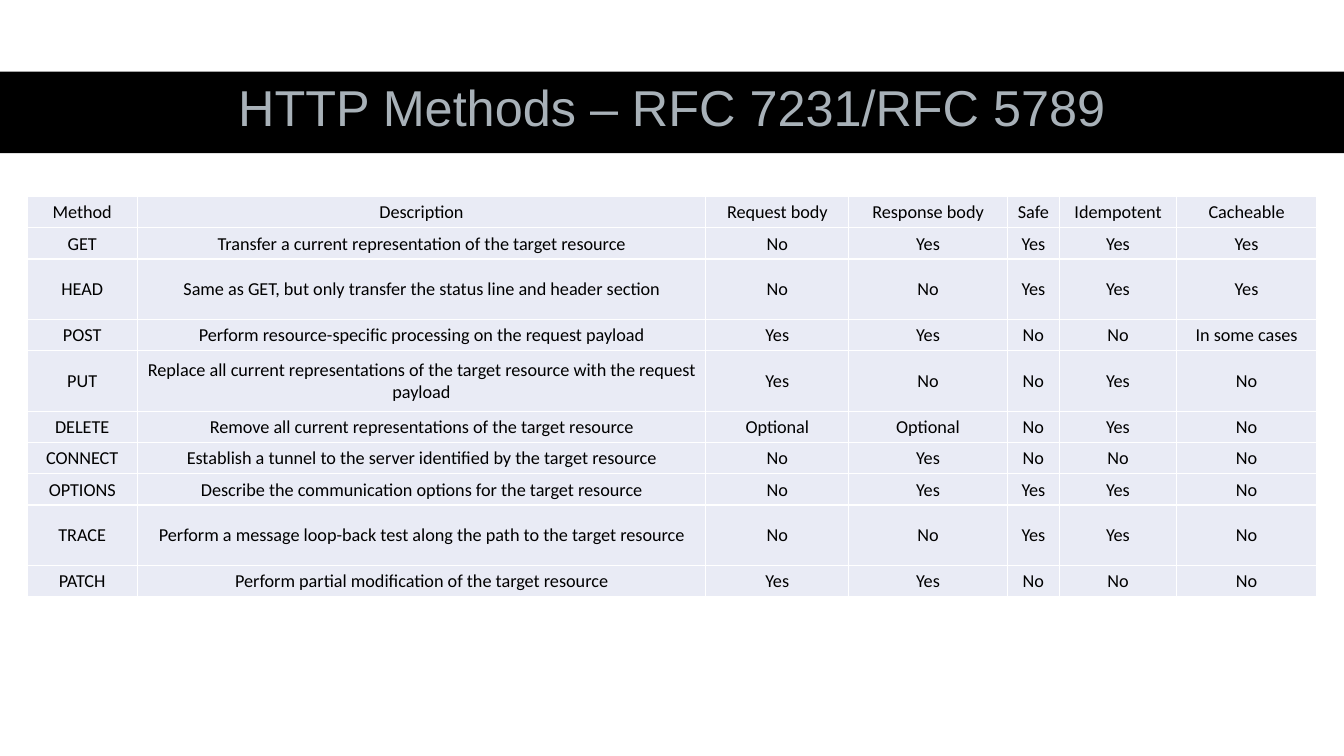
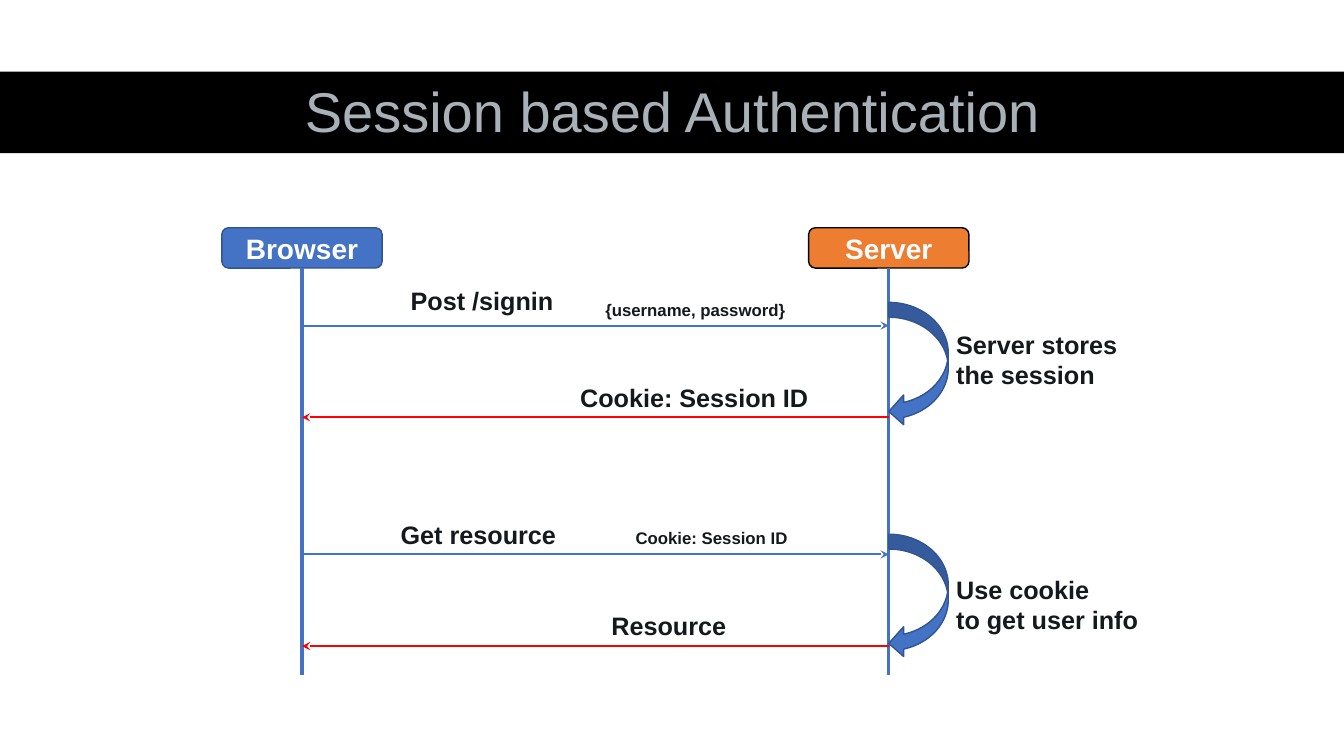
from lxml.etree import SubElement
from pptx import Presentation
from pptx.dml.color import RGBColor
from pptx.enum.shapes import MSO_CONNECTOR, MSO_SHAPE
from pptx.enum.text import MSO_ANCHOR, MSO_AUTO_SIZE, PP_ALIGN
from pptx.oxml.ns import qn
from pptx.util import Inches, Pt

BLACK = RGBColor(0x00, 0x00, 0x00)
WHITE = RGBColor(0xFF, 0xFF, 0xFF)
TITLE_GRAY = RGBColor(0xA8, 0xB1, 0xB8)
INK = RGBColor(0x15, 0x19, 0x1C)
CELL_FILL = RGBColor(0xE9, 0xEB, 0xF5)
BLUE = RGBColor(0x44, 0x72, 0xC4)
DARK_BLUE = RGBColor(0x32, 0x54, 0x91)
ORANGE = RGBColor(0xED, 0x7D, 0x31)
RED = RGBColor(0xFF, 0x00, 0x00)

SLIDE_WIDTH = 13.33
SLIDE_HEIGHT = 7.5
TITLE_ONLY = 5
BAND_BOX = (0, 0.71, SLIDE_WIDTH, 0.81)
TABLE_BOX = (0.27, 1.95, 12.79, 3.97)
DIAGRAM_BOX = (2.2, 2.26, 7.41, 4.44)

TITLE_FONT = {"name": "Arial", "bold": False}
CELL_FONT = {"name": "Calibri", "size": Pt(13), "bold": False}
ACTOR_FONT = {"name": "Arial", "size": Pt(20), "bold": True}
LABEL_FONT = {"name": "Arial", "size": Pt(18), "bold": True}
DETAIL_FONT = {"name": "Arial", "size": Pt(12), "bold": True}

TITLE_FRAME = {
    "word_wrap": False,
    "auto_size": MSO_AUTO_SIZE.NONE,
    "vertical_anchor": MSO_ANCHOR.TOP,
}
LABEL_FRAME = {"word_wrap": False, "auto_size": MSO_AUTO_SIZE.SHAPE_TO_FIT_TEXT}
ACTOR_FRAME = {"word_wrap": True, "vertical_anchor": MSO_ANCHOR.MIDDLE}
CELL_FORMAT = {
    "vertical_anchor": MSO_ANCHOR.MIDDLE,
    "margin_left": Inches(0.01),
    "margin_top": Inches(0.01),
    "margin_right": Inches(0.01),
    "margin_bottom": 0,
}
PLAIN_TABLE = {"first_row": False, "horz_banding": False}

COLUMN_WIDTHS = (1.09, 5.64, 1.42, 1.57, 0.52, 1.16, 1.39)
ROW_HEIGHT = 0.31
TALL_ROW_HEIGHT = 0.6
TALL_METHODS = ("HEAD", "PUT", "TRACE")
METHODS = (
    ("Method", "Description", "Request body", "Response body", "Safe", "Idempotent", "Cacheable"),
    ("GET", "Transfer a current representation of the target resource",
     "No", "Yes", "Yes", "Yes", "Yes"),
    ("HEAD", "Same as GET, but only transfer the status line and header section",
     "No", "No", "Yes", "Yes", "Yes"),
    ("POST", "Perform resource-specific processing on the request payload",
     "Yes", "Yes", "No", "No", "In some cases"),
    ("PUT", "Replace all current representations of the target resource with the request payload",
     "Yes", "No", "No", "Yes", "No"),
    ("DELETE", "Remove all current representations of the target resource",
     "Optional", "Optional", "No", "Yes", "No"),
    ("CONNECT", "Establish a tunnel to the server identified by the target resource",
     "No", "Yes", "No", "No", "No"),
    ("OPTIONS", "Describe the communication options for the target resource",
     "No", "Yes", "Yes", "Yes", "No"),
    ("TRACE", "Perform a message loop-back test along the path to the target resource",
     "No", "No", "Yes", "Yes", "No"),
    ("PATCH", "Perform partial modification of the target resource",
     "Yes", "Yes", "No", "No", "No"),
)

ACTOR_WIDTH = 1.59
ACTOR_HEIGHT = 0.4
RESPONSE_GAP = 0.91
LOOP_SIZE = (0.59, 1.23)
EXCHANGES = (
    {
        "top": 0.97,
        "loop_top": -0.23,
        "labels": (
            ("Post /signin", (0.98, -0.45, 1.63, 0.4), LABEL_FONT),
            ("{username, password}", (2.91, -0.31, 2, 0.3), DETAIL_FONT),
            ("Cookie: Session ID", (2.66, 0.51, 2.49, 0.4), LABEL_FONT),
            ("Server stores\nthe session", (6.39, -0.01, 1.88, 0.71), LABEL_FONT),
        ),
    },
    {
        "top": 3.24,
        "loop_top": -0.2,
        "labels": (
            ("Get resource", (0.88, -0.4, 1.76, 0.4), LABEL_FONT),
            ("Cookie: Session ID", (3.21, -0.31, 1.73, 0.3), DETAIL_FONT),
            ("Resource", (2.97, 0.51, 1.35, 0.4), LABEL_FONT),
            ("Use cookie\nto get user info", (6.39, 0.15, 2.03, 0.71), LABEL_FONT),
        ),
    },
)


def set_values(target, values):
    for name, value in values.items():
        setattr(target, name, value)


def inches(box):
    return [Inches(length) for length in box]


def write_text(text_frame, text, font_values, color, alignment):
    text_frame.text = text
    for paragraph in text_frame.paragraphs:
        paragraph.alignment = alignment
        for run in paragraph.runs:
            set_values(run.font, font_values)
            run.font.color.rgb = color


def add_filled_shape(slide, kind, box, fill, outline=None):
    shape = slide.shapes.add_shape(kind, *inches(box))
    shape.shadow.inherit = False
    shape.fill.solid()
    shape.fill.fore_color.rgb = fill
    if outline is None:
        shape.line.fill.background()
    else:
        shape.line.color.rgb = outline
        shape.line.width = Pt(1)
    return shape


def add_line(slide, start, end, color, width, arrow=False):
    connector = slide.shapes.add_connector(MSO_CONNECTOR.STRAIGHT, *inches(start + end))
    connector.line.color.rgb = color
    connector.line.width = Pt(width)
    properties = connector.element.spPr
    if arrow:
        SubElement(properties.find(qn("a:ln")), qn("a:tailEnd"), type="stealth")
    SubElement(properties, qn("a:effectLst"))
    return connector


def add_label(slide, text, box, font_values):
    label = slide.shapes.add_textbox(*inches(box))
    set_values(label.text_frame, LABEL_FRAME)
    write_text(label.text_frame, text, font_values, INK, PP_ALIGN.LEFT)


def add_title_slide(presentation, text, size, box):
    left, top, width, height = box
    slide = presentation.slides.add_slide(presentation.slide_layouts[TITLE_ONLY])
    band = add_filled_shape(slide, MSO_SHAPE.RECTANGLE, box, BLACK)
    title = slide.shapes.title
    band.element.addnext(title.element)
    title_box = inches((left + width / 6, top, width * 2 / 3, height - 0.04))
    set_values(title, dict(zip(("left", "top", "width", "height"), title_box)))
    set_values(title.text_frame, TITLE_FRAME)
    write_text(title.text_frame, text, TITLE_FONT | {"size": Pt(size)}, TITLE_GRAY, PP_ALIGN.CENTER)
    return slide


def add_cell_borders(cell):
    properties = cell._tc.get_or_add_tcPr()
    for position, side in enumerate(("lnL", "lnR", "lnT", "lnB")):
        border = properties.makeelement(qn(f"a:{side}"), {"w": str(Pt(1))})
        SubElement(SubElement(border, qn("a:solidFill")), qn("a:srgbClr"), val=str(WHITE))
        properties.insert(position, border)


def add_methods_table(slide, box):
    table = slide.shapes.add_table(len(METHODS), len(COLUMN_WIDTHS), *inches(box)).table
    set_values(table, PLAIN_TABLE)
    for column, width in zip(table.columns, COLUMN_WIDTHS):
        column.width = Inches(width)
    for row, texts in zip(table.rows, METHODS):
        row.height = Inches(TALL_ROW_HEIGHT if texts[0] in TALL_METHODS else ROW_HEIGHT)
        for cell, text in zip(row.cells, texts):
            set_values(cell, CELL_FORMAT)
            cell.fill.solid()
            cell.fill.fore_color.rgb = CELL_FILL
            write_text(cell.text_frame, text, CELL_FONT, BLACK, PP_ALIGN.CENTER)
            add_cell_borders(cell)


def add_actor(slide, name, box, fill, outline):
    left, top, width, height = box
    actor_box = (left, top, width, ACTOR_HEIGHT)
    actor = add_filled_shape(slide, MSO_SHAPE.ROUNDED_RECTANGLE, actor_box, fill, outline)
    set_values(actor.text_frame, ACTOR_FRAME)
    write_text(actor.text_frame, name, ACTOR_FONT, WHITE, PP_ALIGN.CENTER)
    center = left + width / 2
    lifeline = add_line(slide, (center, top + ACTOR_HEIGHT), (center, top + height), BLUE, 2.25)
    lifeline.begin_connect(actor, 2)


def add_exchange(slide, exchange, left, top, width):
    right = left + width
    response_top = top + RESPONSE_GAP
    add_line(slide, (left, top), (right, top), BLUE, 1.5, arrow=True)
    add_line(slide, (right, response_top), (left, response_top), RED, 1.5, arrow=True)
    loop_box = (right, top + exchange["loop_top"], *LOOP_SIZE)
    add_filled_shape(slide, MSO_SHAPE.CURVED_LEFT_ARROW, loop_box, BLUE, DARK_BLUE)
    for text, (label_left, label_top, *size), font_values in exchange["labels"]:
        add_label(slide, text, (left + label_left, top + label_top, *size), font_values)


def add_session_diagram(slide, box):
    left, top, width, height = box
    server_left = left + width - ACTOR_WIDTH
    add_actor(slide, "Server", (server_left, top, ACTOR_WIDTH, height), ORANGE, BLACK)
    add_actor(slide, "Browser", (left, top, ACTOR_WIDTH, height), BLUE, DARK_BLUE)
    for exchange in EXCHANGES:
        add_exchange(slide, exchange, left + ACTOR_WIDTH / 2, top + exchange["top"],
                     width - ACTOR_WIDTH)


def main():
    presentation = Presentation()
    presentation.slide_width = Inches(SLIDE_WIDTH)
    presentation.slide_height = Inches(SLIDE_HEIGHT)
    methods_slide = add_title_slide(presentation, "HTTP Methods – RFC 7231/RFC 5789", 36, BAND_BOX)
    add_methods_table(methods_slide, TABLE_BOX)
    session_slide = add_title_slide(presentation, "Session based Authentication", 40, BAND_BOX)
    add_session_diagram(session_slide, DIAGRAM_BOX)
    presentation.save("out.pptx")


if __name__ == "__main__":
    main()
